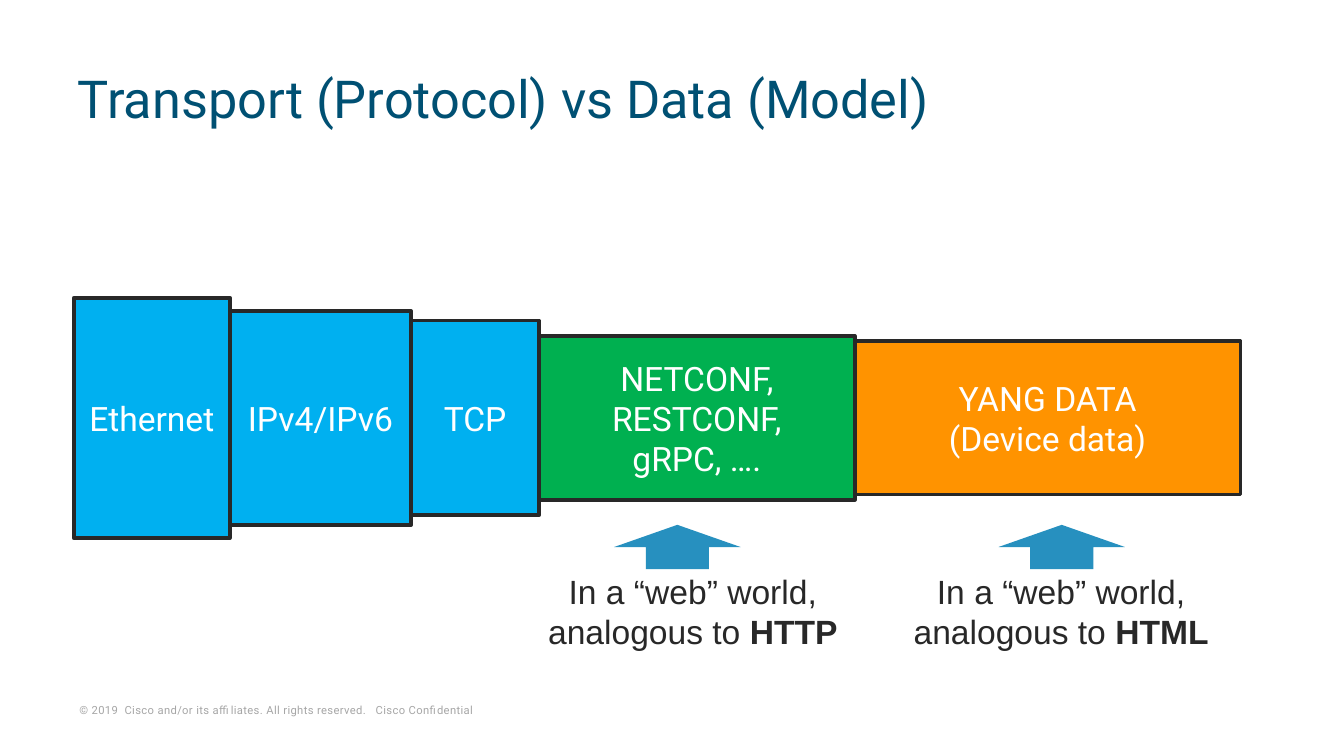
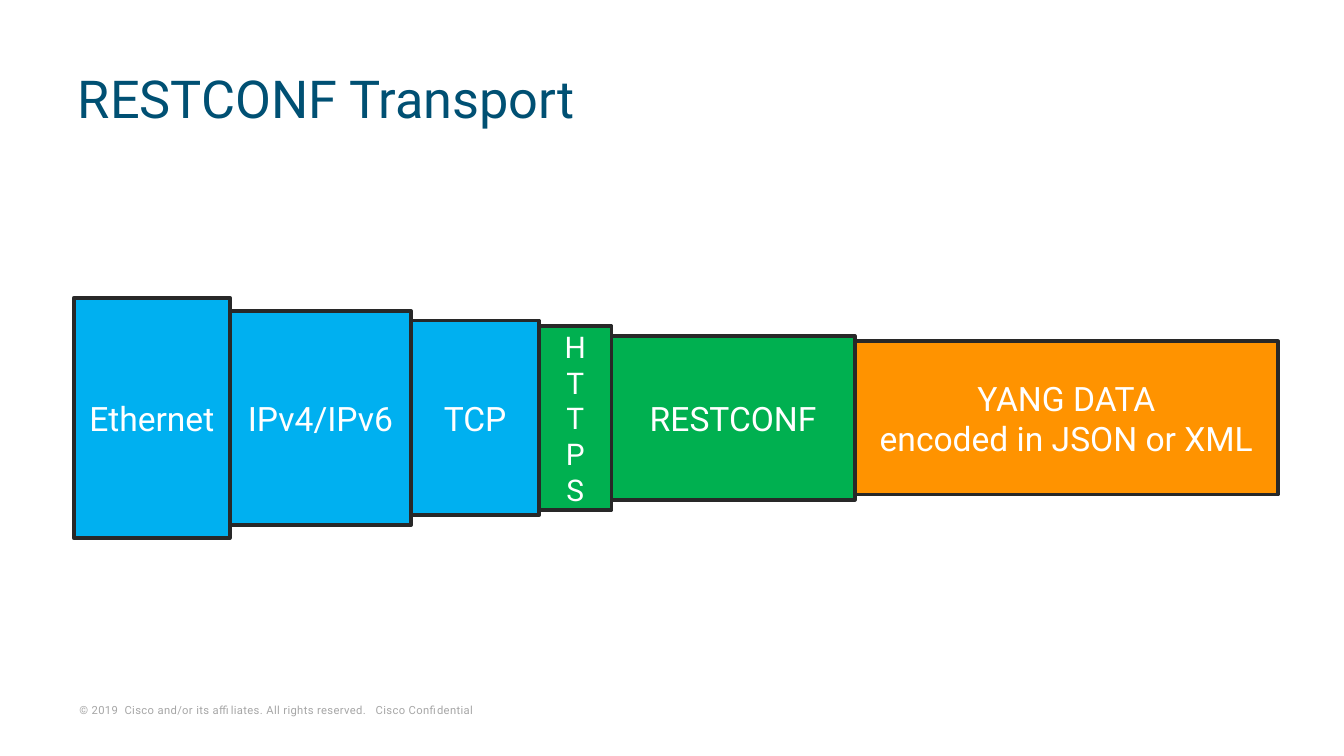
from dataclasses import dataclass

import pptx
import pptx.dml.color
import pptx.enum.shapes
import pptx.enum.text
import pptx.util

Inches = pptx.util.Inches
Pt = pptx.util.Pt
PP_ALIGN = pptx.enum.text.PP_ALIGN
MSO_ANCHOR = pptx.enum.text.MSO_ANCHOR
MSO_AUTO_SIZE = pptx.enum.text.MSO_AUTO_SIZE
MSO_SHAPE = pptx.enum.shapes.MSO_SHAPE


@dataclass(frozen=True)
class Theme:
    heading_font: str = "Roboto"
    note_font: str = "Arial"
    title_color: str = "005073"
    ink: str = "282828"
    footer_color: str = "A6A6A6"
    layer_text: str = "FFFFFF"
    network: str = "00B0F0"
    protocol: str = "00B050"
    data: str = "FF9300"
    arrow: str = "2790BF"
    title_size: float = 28
    text_size: float = 18
    narrow_size: float = 16
    footer_size: float = 6
    outline: float = 2


THEME = Theme()
COPYRIGHT = "© 2019  Cisco and/or its affiliates. All rights reserved.   Cisco Confidential"
TITLE_BOX = (0.48, 0.37, 9.13, 0.8)
FOOTER_BOX = (0.52, 5.19, 3.72, 0.17)
STACK_LEFT, STACK_MIDDLE = 0.55, 3.11

# Each layer: text, width, height, fill, text size
NETWORK_LAYERS = [
    ("Ethernet", 1.16, 1.79, THEME.network, THEME.text_size),
    ("IPv4/IPv6", 1.35, 1.59, THEME.network, THEME.text_size),
    ("TCP", 0.95, 1.45, THEME.network, THEME.text_size),
]
MODEL_LAYERS = NETWORK_LAYERS + [
    ("NETCONF, RESTCONF,\ngRPC, ….", 2.35, 1.22, THEME.protocol, THEME.text_size),
    ("YANG DATA\n(Device data)", 2.87, 1.14, THEME.data, THEME.text_size),
]
RESTCONF_LAYERS = NETWORK_LAYERS + [
    ("\n".join("HTTPS"), 0.54, 1.37, THEME.protocol, THEME.narrow_size),
    ("RESTCONF", 1.81, 1.22, THEME.protocol, THEME.text_size),
    ("YANG DATA\nencoded in JSON or XML", 3.15, 1.14, THEME.data, THEME.text_size),
]


def rgb(value):
    return pptx.dml.color.RGBColor.from_string(value)


def inches(box):
    return [Inches(length) for length in box]


def style_runs(paragraph, font, size, color):
    for run in paragraph.runs:
        run.font.name = font
        run.font.size = Pt(size)
        run.font.color.rgb = rgb(color)


def add_title(slide, box, text):
    title = slide.shapes.title
    title.left, title.top, title.width, title.height = inches(box)
    frame = title.text_frame
    frame.text = text
    frame.auto_size = MSO_AUTO_SIZE.NONE
    frame.vertical_anchor = MSO_ANCHOR.MIDDLE
    heading = frame.paragraphs[0]
    heading.alignment = PP_ALIGN.LEFT
    heading.line_spacing = 0.8
    style_runs(heading, THEME.heading_font, THEME.title_size, THEME.title_color)


def add_footer(slide, box):
    frame = slide.shapes.add_textbox(*inches(box)).text_frame
    frame.text = COPYRIGHT
    frame.word_wrap = True
    frame.auto_size = MSO_AUTO_SIZE.SHAPE_TO_FIT_TEXT
    frame.vertical_anchor = MSO_ANCHOR.BOTTOM
    frame.margin_left = frame.margin_right = Inches(0.07)
    frame.margin_top = frame.margin_bottom = Inches(0.03)
    notice = frame.paragraphs[0]
    style_runs(notice, THEME.heading_font, THEME.footer_size, THEME.footer_color)
    for run in notice.runs:
        run._r.get_or_add_rPr().set("spc", "20")


def add_layer(slide, box, text, fill, size):
    layer = slide.shapes.add_shape(MSO_SHAPE.RECTANGLE, *inches(box))
    layer.shadow.inherit = False
    layer.fill.solid()
    layer.fill.fore_color.rgb = rgb(fill)
    layer.line.color.rgb = rgb(THEME.ink)
    layer.line.width = Pt(THEME.outline)
    frame = layer.text_frame
    frame.word_wrap = True
    frame.vertical_anchor = MSO_ANCHOR.MIDDLE
    label = frame.paragraphs[0]
    label.text = text
    label.alignment = PP_ALIGN.CENTER
    style_runs(label, THEME.heading_font, size, THEME.layer_text)


def add_stack(slide, left, middle, layers):
    """Place layers edge to edge, all centred on one horizontal line."""
    for text, width, height, fill, size in layers:
        add_layer(slide, (left, middle - height / 2, width, height), text, fill, size)
        left += width


def add_analogy(slide, box, arrow_center, web_term):
    """Caption in the box, with an upward arrow just above it."""
    left, top, width, height = box
    length, breadth = 0.33, 0.94
    arrow = slide.shapes.add_shape(
        MSO_SHAPE.RIGHT_ARROW,
        *inches((arrow_center - length / 2, top - 0.13 - breadth / 2, length, breadth)))
    arrow.rotation = 270
    arrow.shadow.inherit = False
    arrow.fill.solid()
    arrow.fill.fore_color.rgb = rgb(THEME.arrow)
    arrow.line.fill.background()

    frame = slide.shapes.add_textbox(*inches(box)).text_frame
    frame.word_wrap = True
    frame.auto_size = MSO_AUTO_SIZE.SHAPE_TO_FIT_TEXT
    caption = frame.paragraphs[0]
    caption.alignment = PP_ALIGN.CENTER
    caption.add_run().text = "In a “web” world, analogous to "
    term = caption.add_run()
    term.text = web_term
    style_runs(caption, THEME.note_font, THEME.text_size, THEME.ink)
    term.font.bold = True


def add_stack_slide(deck, title, layers):
    slide = deck.slides.add_slide(deck.slide_layouts[5])
    add_footer(slide, FOOTER_BOX)
    add_title(slide, TITLE_BOX, title)
    add_stack(slide, STACK_LEFT, STACK_MIDDLE, layers)
    return slide


def main():
    deck = pptx.Presentation()
    deck.slide_width = Inches(10)
    deck.slide_height = Inches(10 * 9 / 16)

    comparison = add_stack_slide(deck, "Transport (Protocol) vs Data (Model)", MODEL_LAYERS)
    add_analogy(comparison, (3.71, 4.2, 2.89, 0.71), 5.04, "HTTP")
    add_analogy(comparison, (6.45, 4.2, 2.89, 0.71), 7.9, "HTML")

    add_stack_slide(deck, "RESTCONF Transport", RESTCONF_LAYERS)
    deck.save("out.pptx")


if __name__ == "__main__":
    main()
